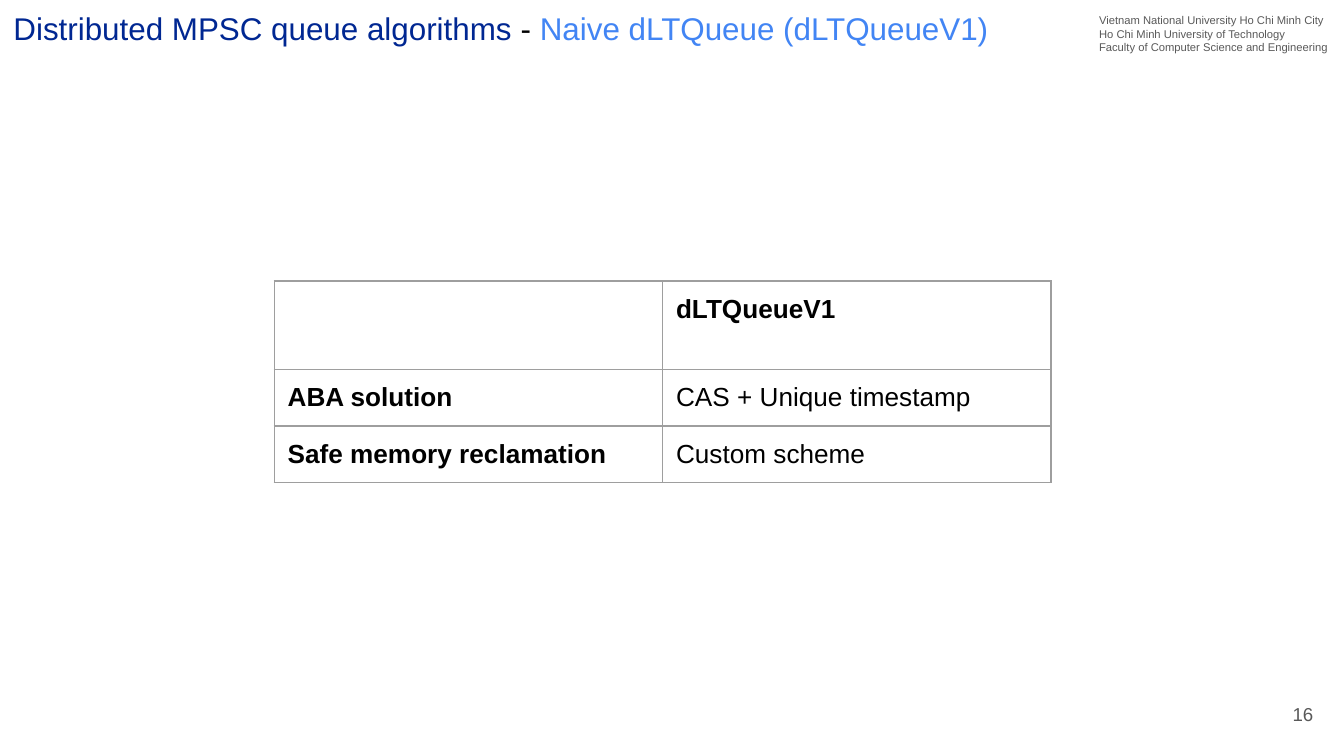
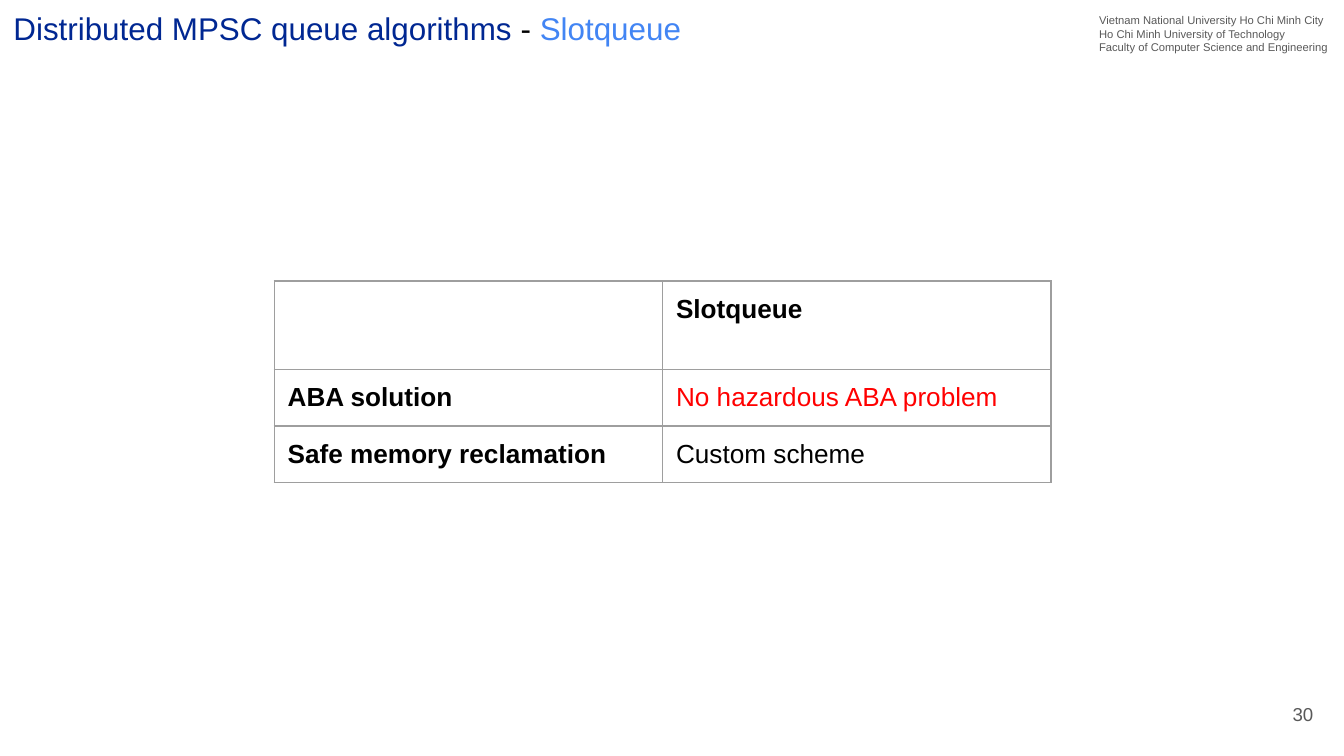
from pptx import Presentation
from pptx.dml.color import RGBColor
from pptx.enum.text import MSO_ANCHOR, MSO_AUTO_SIZE, PP_ALIGN
from pptx.oxml import parse_xml
from pptx.oxml.ns import nsdecls
from pptx.util import Inches, Pt

LEFT, RIGHT = PP_ALIGN.LEFT, PP_ALIGN.RIGHT
TOP, MIDDLE, BOTTOM = MSO_ANCHOR.TOP, MSO_ANCHOR.MIDDLE, MSO_ANCHOR.BOTTOM
NO_AUTOFIT = MSO_AUTO_SIZE.NONE

THEME = {
    "font": "Arial",
    "navy": "002792", "blue": "4285F4", "black": "000000",
    "red": "FF0000", "gray": "595959", "border": "9E9E9E",
    "title": 16.8, "table": 14, "number": 10, "affiliation": 6,
    "inset": 0.1, "border_width": 0.75,
}

AFFILIATION = [
    "Vietnam National University Ho Chi Minh City",
    "Ho Chi Minh University of Technology",
    "Faculty of Computer Science and Engineering",
]

# Each slide: number, topic, column heading, ABA solution and its colour
SLIDES = [
    ("16", "Naive dLTQueue (dLTQueueV1)", "dLTQueueV1",
     "CAS + Unique timestamp", "black"),
    ("30", "Slotqueue", "Slotqueue", "No hazardous ABA problem", "red"),
]


def add_run(p, text, size, color, bold=False):
    r = p.add_run()
    r.text = text
    r.font.name = THEME["font"]
    r.font.size = Pt(THEME[size])
    r.font.color.rgb = RGBColor.from_string(THEME[color])
    r.font.bold = bold


def setup_frame(sp, anchor, wrap=True):
    tf = sp.text_frame
    tf.auto_size = NO_AUTOFIT
    tf.word_wrap = wrap
    tf.vertical_anchor = anchor
    tf.margin_left = tf.margin_right = Inches(THEME["inset"])
    tf.margin_top = tf.margin_bottom = Inches(THEME["inset"])
    return tf


# 16:9 page
prs = Presentation()
prs.slide_width, prs.slide_height = Inches(10), Inches(10 * 9 / 16)
title_only = prs.slide_layouts[5]

for number, topic, heading, aba_solution, aba_color in SLIDES:
    s = prs.slides.add_slide(title_only)

    # Title
    title = s.shapes.title
    title.left, title.top = Inches(0), Inches(0)
    title.width, title.height = Inches(7.79), Inches(0.45)
    p = setup_frame(title, BOTTOM).paragraphs[0]
    p.alignment = LEFT
    add_run(p, "Distributed MPSC queue algorithms ", "title", "navy")
    add_run(p, "- ", "title", "black")
    add_run(p, topic, "title", "blue")

    # Affiliation
    sp = s.shapes.add_textbox(Inches(8.08), Inches(0), Inches(1.9), Inches(0.5))
    tf = setup_frame(sp, TOP, wrap=False)
    for i, line in enumerate(AFFILIATION):
        p = tf.add_paragraph() if i else tf.paragraphs[0]
        p.alignment = LEFT
        add_run(p, line, "affiliation", "gray")

    # Slide number
    sp = s.shapes.add_textbox(Inches(9.27), Inches(5.1), Inches(0.6), Inches(0.43))
    p = setup_frame(sp, MIDDLE).paragraphs[0]
    p.alignment = RIGHT
    add_run(p, number, "number", "gray")

    # Comparison table
    rows = [
        ("", heading, "black"),
        ("ABA solution", aba_solution, aba_color),
        ("Safe memory reclamation", "Custom scheme", "black"),
    ]
    table = s.shapes.add_table(3, 2, Inches(2.04), Inches(2.09),
                               Inches(5.78), Inches(1.5)).table
    table.first_row = table.horz_banding = False
    for col in table.columns:
        col.width = Inches(2.89)
    for row, height in zip(table.rows, (0.66, 0.42, 0.42)):
        row.height = Inches(height)

    for i, (label, value, value_color) in enumerate(rows):
        for j, (text, color) in enumerate([(label, "black"), (value, value_color)]):
            cell = table.cell(i, j)
            cell.margin_left = cell.margin_right = Inches(THEME["inset"])
            cell.margin_top = cell.margin_bottom = Inches(THEME["inset"])
            if text:
                add_run(cell.text_frame.paragraphs[0], text, "table", color,
                        bold=i == 0 or j == 0)
            # Cell borders go before the fill
            tc_pr = cell._tc.get_or_add_tcPr()
            for side in ("lnL", "lnR", "lnT", "lnB"):
                tc_pr.append(parse_xml(
                    f'<a:{side} {nsdecls("a")} w="{Pt(THEME["border_width"])}">'
                    f'<a:solidFill><a:srgbClr val="{THEME["border"]}"/></a:solidFill>'
                    f'</a:{side}>'))
            cell.fill.background()

prs.save("out.pptx")
